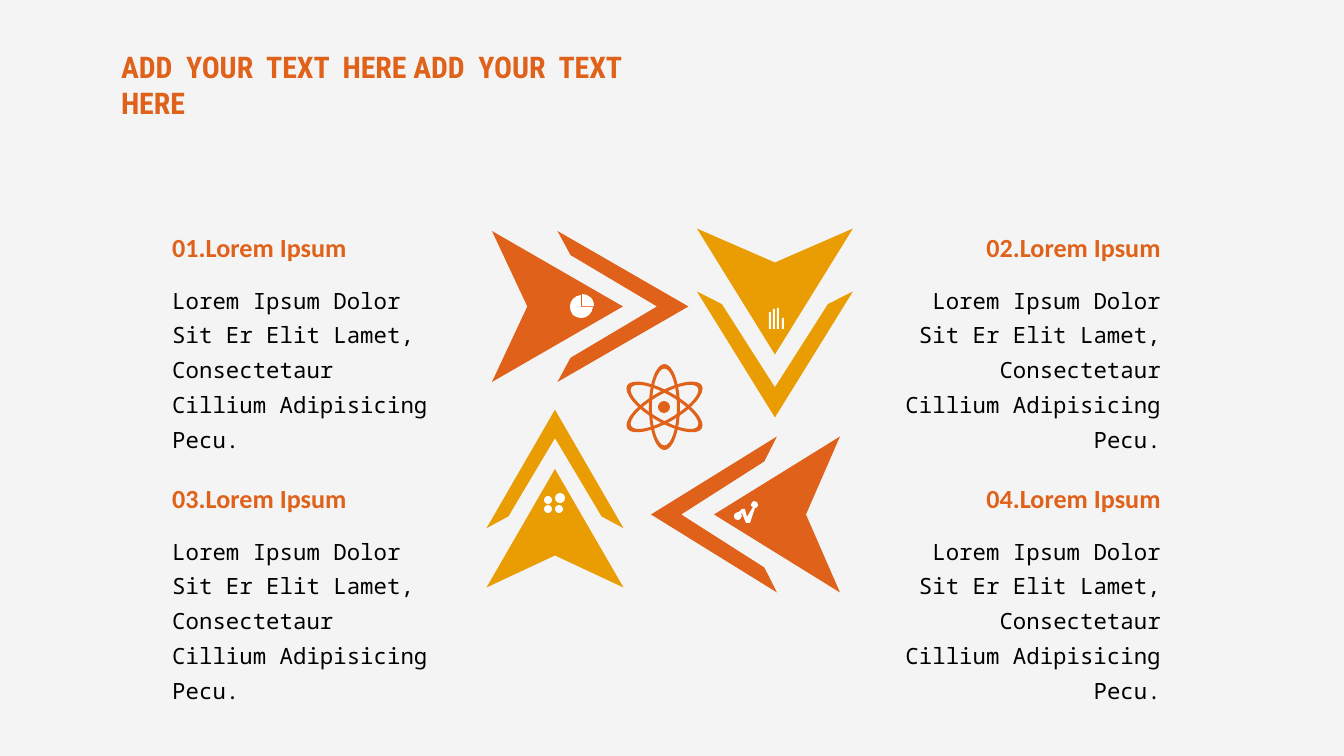
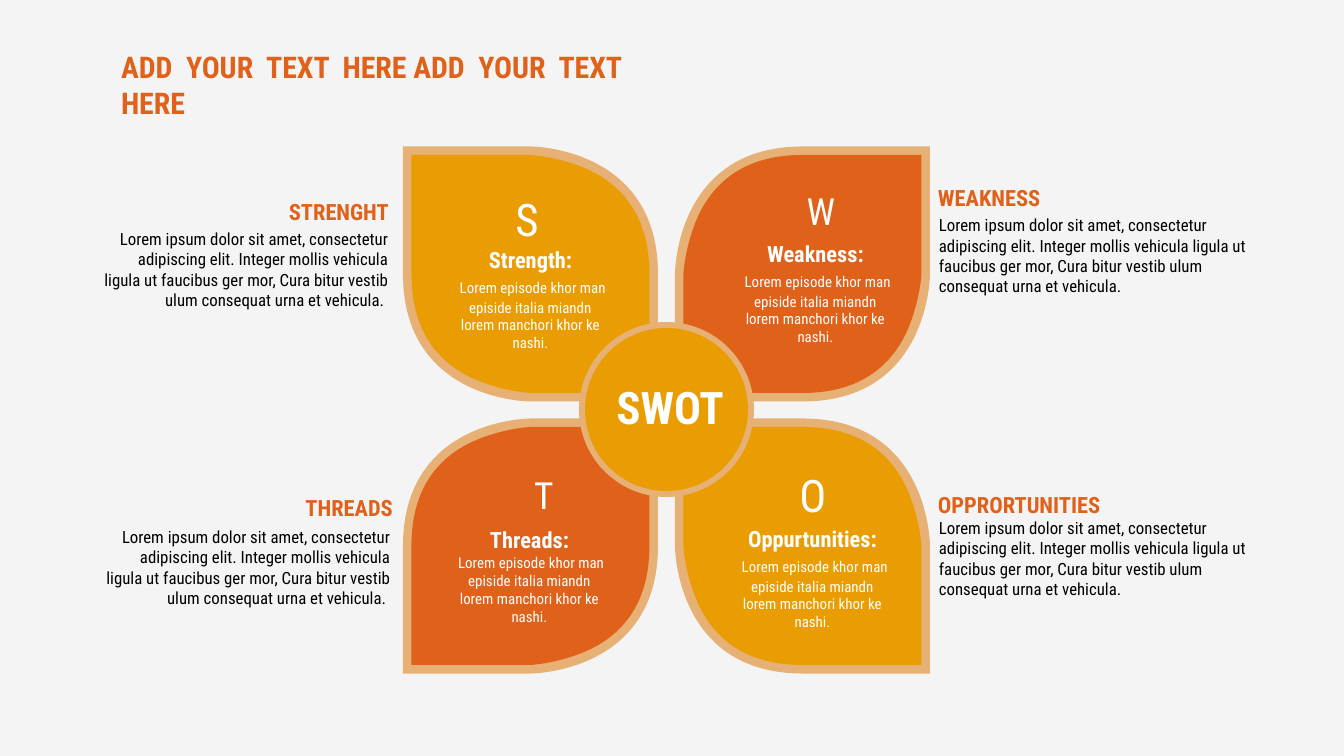
from dataclasses import dataclass
from math import cos, radians, sin

from lxml.etree import SubElement
from pptx import Presentation
from pptx.dml.color import RGBColor
from pptx.enum.shapes import MSO_SHAPE as Preset
from pptx.enum.text import MSO_ANCHOR as Anchor, MSO_AUTO_SIZE as AutoSize, PP_ALIGN as Align
from pptx.oxml.ns import qn
from pptx.util import Pt

PX = 6804  # EMU in one px; the slide is 1344 px wide


@dataclass(frozen=True)
class Theme:
    paper: RGBColor = RGBColor(0xF2, 0xF2, 0xF2)
    orange: RGBColor = RGBColor(0xDF, 0x61, 0x1A)
    amber: RGBColor = RGBColor(0xE9, 0x9D, 0x03)
    sand: RGBColor = RGBColor(0xE7, 0xB1, 0x75)
    white: RGBColor = RGBColor(0xFF, 0xFF, 0xFF)
    black: RGBColor = RGBColor(0, 0, 0)
    # Type styles: font, points, bold
    title: tuple = ("Roboto Condensed", 16, True)
    step: tuple = ("Calibri", 14, True)
    step_body: tuple = ("Noto Sans Mono", 12, False)
    hub: tuple = ("Roboto Condensed", 24, True)
    heading: tuple = ("Roboto Condensed", 12, True)
    spacer: tuple = ("Roboto Condensed", 11, False)
    note: tuple = ("Roboto Condensed", 9, False)
    small: tuple = ("Roboto Condensed", 8, False)


theme = Theme()


def write(shape, text, style, colour, align=Align.LEFT, inset=None, anchor=Anchor.TOP, grow=True):
    """Fill a shape with text in one style; inset is (sides, top and bottom) in px."""
    frame = shape.text_frame
    frame.text = text
    frame.word_wrap = True
    frame.auto_size = AutoSize.SHAPE_TO_FIT_TEXT if grow else AutoSize.NONE
    frame.vertical_anchor = anchor
    if inset is not None:
        frame.margin_left = frame.margin_right = inset[0] * PX
        frame.margin_top = frame.margin_bottom = inset[1] * PX
    for paragraph in frame.paragraphs:
        paragraph.alignment = align
        for run in paragraph.runs:
            run.font.name, run.font.bold = style[0], style[2]
            run.font.size = Pt(style[1])
            run.font.color.rgb = colour
    return frame


def outline(slide, contours, colour):
    """Draw filled contours; a step of two numbers is a line, of six a cubic curve."""
    builder = None
    for steps in contours:
        points = [(round(x * PX), round(y * PX))
                  for step in steps for x, y in zip(step[::2], step[1::2])]
        if builder is None:
            builder = slide.shapes.build_freeform(*points[0], scale=1.0)
        else:
            builder.move_to(*points[0])
        builder.add_line_segments(points[1:], close=True)
    shape = builder.convert_to_shape()
    # Join the three lines of each six-number step into one curve
    lines = iter(list(shape.element.iter(qn("a:lnTo"))))
    for step in (step for steps in contours for step in steps[1:]):
        curve = next(lines)
        if len(step) == 6:
            curve.tag = qn("a:cubicBezTo")
            for line in (next(lines), next(lines)):
                curve.append(line[0])
                line.getparent().remove(line)
    shape.shadow.inherit = False
    shape.fill.solid()
    shape.fill.fore_color.rgb = colour
    shape.line.fill.background()


# Shared deck: size and title
deck = Presentation()
deck.slide_width, deck.slide_height = 1344 * PX, 756 * PX
slides = []
for _ in range(2):
    slide = deck.slides.add_slide(deck.slide_layouts[5])
    title = slide.shapes.title
    title.left, title.top, title.width, title.height = (v * PX for v in (111, 44, 556, 47))
    write(title, "ADD  YOUR  TEXT  HERE ADD  YOUR  TEXT  HERE", theme.title, theme.orange,
          inset=(10, 5))
    slides.append(slide)
steps_slide, swot_slide = slides

# Translucent backdrop, placed on the master behind everything
backdrop = steps_slide.shapes.add_shape(Preset.RECTANGLE, 0, 0, 1344 * PX, 756 * PX)
backdrop.shadow.inherit = False
backdrop.fill.solid()
backdrop.fill.fore_color.rgb = theme.paper
backdrop.line.fill.background()
tint = next(backdrop.element.spPr.iter(qn("a:srgbClr")))
SubElement(tint, qn("a:alpha")).set("val", "83000")
deck.slide_master.shapes.element.insert(2, backdrop.element)

# Slide 1: four arrows, each a notched dart followed by a chevron
arrows = [  # middle of the base, direction, length, half width, colour
    (492, 306.5, 1, 0, 131, 75.5, theme.orange),
    (775, 228.5, 0, 1, 126, 78, theme.amber),
    (555, 587.5, 0, -1, 118.5, 68.5, theme.amber),
    (840, 514.5, -1, 0, 126, 78, theme.orange),
]
dart = [(0, -1), (1, 0), (0, 1), (0.27, 0)]
chevron = [(0.5, -1), (0.6, -0.68), (1.26, 0), (0.6, 0.68), (0.5, 1), (1.5, 0)]
for x, y, dx, dy, length, half, colour in arrows:
    for part in (dart, chevron):
        outline(steps_slide, [[(x + dx * along * length - dy * across * half,
                                y + dy * along * length + dx * across * half)
                               for along, across in part]], colour)

# Atom: three tilted rings
bow = 0.55  # handle length of a quarter ellipse
oval = [(1, 0), (1, bow, bow, 1, 0, 1), (-bow, 1, -1, bow, -1, 0),
        (-1, -bow, -bow, -1, 0, -1), (bow, -1, 1, -bow, 1, 0)]
for tilt in (0, 60, -60):
    turn, ring = radians(tilt), []
    for wide, tall in ((15.5, 43), (12.5, 38.5)):
        edge = []
        for step in oval:
            placed = []
            for u, v in zip(step[::2], step[1::2]):
                placed += [664.5 + u * wide * cos(turn) - v * tall * sin(turn),
                           407 + u * wide * sin(turn) + v * tall * cos(turn)]
            edge.append(tuple(placed))
        ring.append(edge)
    outline(steps_slide, ring, theme.orange)

# Pie icon: three quarters and the slice set apart
outline(steps_slide, [[
    (581, 295), (578, 295, 575, 297, 573, 299), (569, 303, 569, 310, 573, 315),
    (578, 319, 585, 319, 589, 315), (591, 313, 593, 310, 593, 307), (581, 307)]], theme.white)
outline(steps_slide, [[
    (590, 297), (588, 295, 585, 294, 582, 294), (582, 306), (594, 306),
    (594, 303, 593, 299, 590, 297)]], theme.white)

# Trend icon
outline(steps_slide, [[
    (758, 505), (758, 503, 757, 501, 754, 501), (753, 501, 751, 503, 751, 505),
    (751, 505, 751, 507, 753, 507), (747, 517), (745, 509), (742, 509), (739, 512),
    (738, 512), (735, 512, 734, 515, 734, 516), (734, 519, 735, 520, 738, 520),
    (739, 520, 742, 519, 742, 516), (741, 515), (742, 513), (746, 523), (750, 523),
    (755, 508), (757, 508, 758, 507, 758, 505)]], theme.white)

# Slide 2: petals, with points as (outward x, outward y) from the petal's centre
rim_path = [(0, 1), (1, 1), (1, 0), (1, 0, 1, -1, 0, -1), (-1, -1), (-1, 0),
            (-1, 0, -1, 1, 0, 1)]
leaf_path = [(0, -1), (0.42, -1, 0.71, -0.83, 0.87, -0.5), (0.99, -0.24, 1, 0, 1, 0),
             (1, 1), (0, 1), (-0.42, 1, -0.71, 0.83, -0.87, 0.5),
             (-0.99, 0.24, -1, 0, -1, 0), (-1, -1)]
petals = [(1, -1, theme.orange), (-1, -1, theme.amber),
          (1, 1, theme.amber), (-1, 1, theme.orange)]
for path, half, shared in ((rim_path, 127.5, theme.sand), (leaf_path, 119, None)):
    for right, down, colour in petals:
        contour = []
        for step in path:
            placed = []
            for u, v in zip(step[::2], step[1::2]):
                if right < 0:  # left petals are flipped on their diagonal
                    u, v = v, u
                placed += [666.5 + right * (136 + u * half), 410 + down * (136 + v * half)]
            contour.append(tuple(placed))
        outline(swot_slide, [contour], shared or colour)

# Nucleus, dots and bars of slide 1; hub of slide 2
dots = [(Preset.OVAL, x, y, size, size, colour) for x, y, size, colour in (
    (658, 401, 12, theme.orange), (544, 496, 8, theme.white), (555, 493, 10, theme.white),
    (544, 505, 8, theme.white), (555, 505, 8, theme.white))]
bars = [(Preset.RECTANGLE, x, top, 2, 329 - top, theme.white)
        for x, top in ((769, 312), (773, 309), (777, 308), (782, 318))]
hub = [(Preset.OVAL, 579, 322, 175, 175, theme.sand),
       (Preset.OVAL, 585, 328, 163, 163, theme.amber)]
for slide, marks in ((steps_slide, dots + bars), (swot_slide, hub)):
    for preset, x, y, width, height, colour in marks:
        mark = slide.shapes.add_shape(preset, x * PX, y * PX, width * PX, height * PX)
        mark.shadow.inherit = False
        mark.fill.solid()
        mark.fill.fore_color.rgb = colour
        mark.line.fill.background()

# Slide 1: numbered texts
step_text = "Lorem Ipsum Dolor Sit Er Elit Lamet, Consectetaur Cillium Adipisicing Pecu."
for number, x, y, align in (("01", 159, 225, Align.LEFT), ("03", 159, 476, Align.LEFT),
                            ("02", 889, 225, Align.RIGHT), ("04", 889, 476, Align.RIGHT)):
    heading = steps_slide.shapes.add_textbox(x * PX, y * PX, 285 * PX, 46 * PX)
    write(heading, f"{number}.Lorem Ipsum", theme.step, theme.orange, align)
    body = steps_slide.shapes.add_textbox(x * PX, (y + 47) * PX, 285 * PX, 120 * PX)
    write(body, step_text, theme.step_body, theme.black, align).paragraphs[0].line_spacing = 1.3

# Slide 2: texts on the petals
petal_text = "Lorem episode khor man episide italia miandn lorem manchori khor ke nashi."
for name, x, y, height, letter, letter_x, letter_y, points, spaced in (
        ("Strength:", 441, 240, 102, "S", 488, 180, 24, True),
        ("Weakness:", 726, 234, 102, "W", 782, 172, 20, True),
        ("Oppurtunities:", 723, 519, 102, "O", 774, 456, 24, True),
        ("Threads:", 440, 520, 95, "T", 505, 456, 20, False)):
    caption = swot_slide.shapes.add_textbox(x * PX, y * PX, 179 * PX, height * PX)
    frame = write(caption, f"{name}\n {petal_text}", theme.small, theme.white, Align.CENTER)
    heading_font = frame.paragraphs[0].runs[0].font
    heading_font.size, heading_font.bold = Pt(theme.heading[1]), True
    if spaced:  # a larger leading space opens the first line
        detail = frame.paragraphs[1]
        detail.runs[0].text = " "
        detail.runs[0].font.size = Pt(theme.spacer[1])
        rest = detail.add_run()
        rest.text = petal_text
        rest.font.name, rest.font.size = theme.small[0], Pt(theme.small[1])
        rest.font.bold, rest.font.color.rgb = False, theme.white
    badge = swot_slide.shapes.add_shape(Preset.OVAL, letter_x * PX, letter_y * PX,
                                        78 * PX, 78 * PX)
    badge.shadow.inherit = False
    badge.fill.background()
    badge.line.fill.background()
    write(badge, letter, (theme.heading[0], points, False), theme.white, Align.CENTER,
          anchor=Anchor.MIDDLE, grow=False)

swot = swot_slide.shapes.add_textbox(528 * PX, 375 * PX, 284 * PX, 65 * PX)
write(swot, "SWOT", theme.hub, theme.white, Align.CENTER, inset=(10, 5))

# Slide 2: texts beside the petals
note_text = ("Lorem ipsum dolor sit amet, consectetur adipiscing elit. Integer mollis vehicula "
             "ligula ut faucibus ger mor, Cura bitur vestib ulum consequat urna et vehicula.")
for name, x, y, note_x, note_y, note_width, align, tail in (
        ("STRENGHT", 183, 188, 99, 229, 289, Align.RIGHT, " "),
        ("THREADS", 187, 484, 101, 527, 289, Align.RIGHT, " "),
        ("WEAKNESS", 938, 174, 939, 215, 320, Align.LEFT, ""),
        ("OPPRORTUNITIES", 938, 481, 939, 518, 320, Align.LEFT, "")):
    heading = swot_slide.shapes.add_textbox(x * PX, y * PX, 206 * PX, 47 * PX)
    write(heading, name, theme.heading, theme.orange, align, (0, 0), Anchor.MIDDLE, grow=False)
    note = swot_slide.shapes.add_textbox(note_x * PX, note_y * PX, note_width * PX, 136 * PX)
    write(note, note_text + tail, theme.note, theme.black, align, (0, 0), grow=False)

deck.save("out.pptx")
